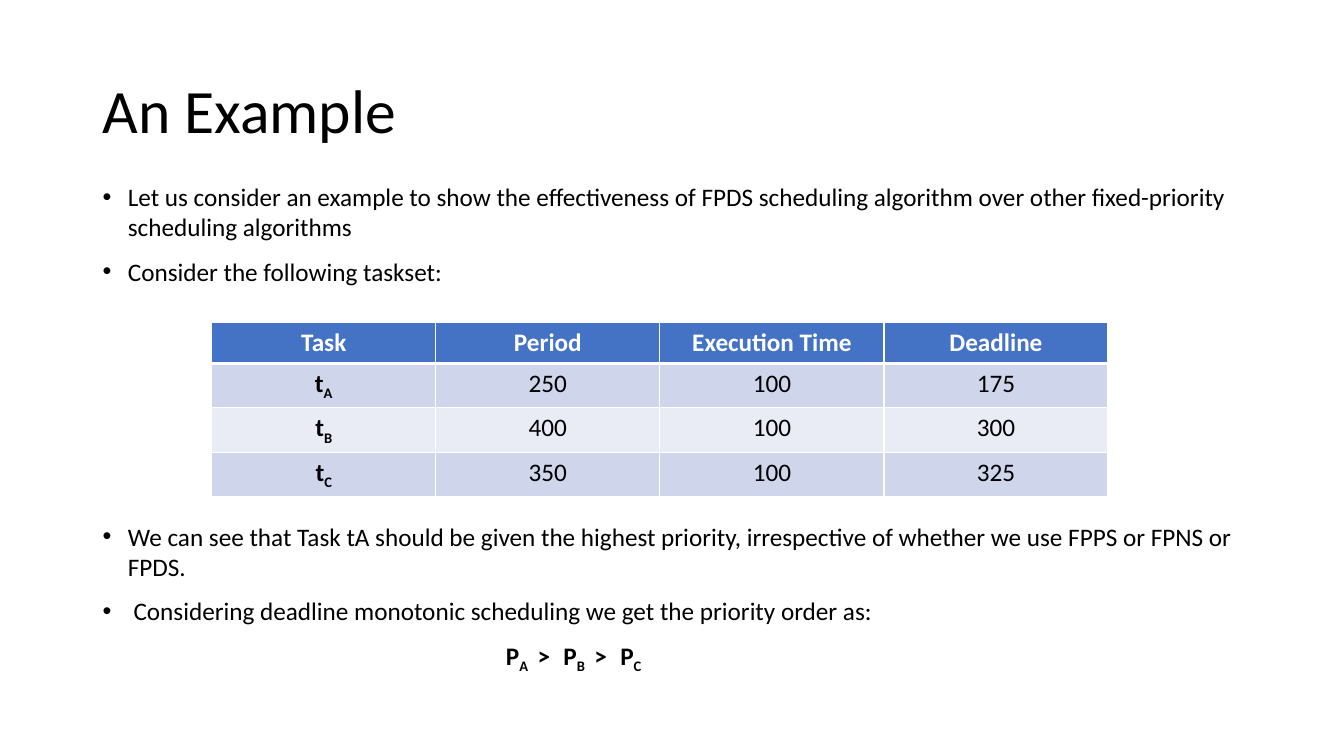
from dataclasses import dataclass

from lxml import etree
from pptx import Presentation
from pptx.dml.color import RGBColor
from pptx.enum import text
from pptx.oxml import ns
from pptx.util import Inches, Pt


@dataclass(frozen=True)
class Theme:
    font: str = "Calibri"
    title_size: int = 44
    body_size: int = 18
    ink: str = "000000"
    white: str = "FFFFFF"
    header: str = "4472C4"
    bands: tuple = ("CFD5EA", "E9EBF5")


THEME = Theme()

HEADINGS = ["Task", "Period", "Execution Time", "Deadline"]
TASKS = [("A", 250, 100, 175), ("B", 400, 100, 300), ("C", 350, 100, 325)]
SETUP = [
    "Let us consider an example to show the effectiveness of FPDS scheduling "
    "algorithm over other fixed-priority scheduling algorithms",
    "Consider the following taskset:",
]
FINDINGS = [
    "We can see that Task tA should be given the highest priority, "
    "irrespective of whether we use FPPS or FPNS or FPDS.",
    " Considering deadline monotonic scheduling we get the priority order as:",
]


def add_run(paragraph, words, size=THEME.body_size, color=THEME.ink, bold=False):
    run = paragraph.add_run()
    run.text = words
    run.font.name = THEME.font
    run.font.size = Pt(size)
    run.font.bold = bold
    run.font.color.rgb = RGBColor.from_string(color)
    return run


def add_subscripted(paragraph, letter, index):
    add_run(paragraph, letter, bold=True)
    subscript = add_run(paragraph, index, bold=True)
    subscript.font._element.set("baseline", "-25000")


def add_text_box(slide, left, top, width, height):
    frame = slide.shapes.add_textbox(
        Inches(left), Inches(top), Inches(width), Inches(height)
    ).text_frame
    frame.word_wrap = True
    return frame


def add_title(slide, words):
    frame = add_text_box(slide, 0.92, 0.4, 11.5, 1.45)
    frame.vertical_anchor = text.MSO_ANCHOR.MIDDLE
    paragraph = frame.paragraphs[0]
    paragraph.line_spacing = 0.9
    add_run(paragraph, words, THEME.title_size)


def add_bullets(slide, top, height, items):
    frame = add_text_box(slide, 0.92, top, 11.5, height)
    for number, item in enumerate(items):
        paragraph = frame.add_paragraph() if number else frame.paragraphs[0]
        if number:
            paragraph.space_before = Pt(10)
        properties = paragraph._p.get_or_add_pPr()
        properties.set("marL", str(Inches(0.25)))
        properties.set("indent", str(-Inches(0.25)))
        etree.SubElement(properties, ns.qn("a:buFont"), typeface="Arial")
        etree.SubElement(properties, ns.qn("a:buChar"), char="•")
        add_run(paragraph, item)
    return frame


def add_priority_order(frame, indices):
    paragraph = frame.add_paragraph()
    paragraph.space_before = Pt(10)
    paragraph._p.get_or_add_pPr().set("marL", str(Inches(4)))
    for number, index in enumerate(indices):
        if number:
            separator = add_run(paragraph, " > ", bold=True)
            separator.font._element.set("spc", "270")
        add_subscripted(paragraph, "P", index)


def set_border(cell, side, points):
    line = etree.SubElement(
        cell._tc.get_or_add_tcPr(), ns.qn(f"a:ln{side}"), w=str(Pt(points))
    )
    fill = etree.SubElement(line, ns.qn("a:solidFill"))
    etree.SubElement(fill, ns.qn("a:srgbClr"), val=THEME.white)


def style_cell(cell, row, color):
    widths = {"L": 1, "R": 1, "T": 3 if row == 1 else 1, "B": 3 if row == 0 else 1}
    for side, points in widths.items():
        set_border(cell, side, points)
    cell.fill.solid()
    cell.fill.fore_color.rgb = RGBColor.from_string(color)
    paragraph = cell.text_frame.paragraphs[0]
    paragraph.alignment = text.PP_ALIGN.CENTER
    return paragraph


def add_task_table(slide):
    table = slide.shapes.add_table(
        len(TASKS) + 1, len(HEADINGS),
        Inches(2.1), Inches(3.2), Inches(8.89), Inches(1.62),
    ).table
    for column, heading in enumerate(HEADINGS):
        paragraph = style_cell(table.cell(0, column), 0, THEME.header)
        add_run(paragraph, heading, color=THEME.white, bold=True)
    for row, task in enumerate(TASKS, 1):
        band = THEME.bands[(row - 1) % 2]
        for column, value in enumerate(task):
            paragraph = style_cell(table.cell(row, column), row, band)
            if column == 0:
                add_subscripted(paragraph, "t", value)
            else:
                add_run(paragraph, str(value))


def main():
    presentation = Presentation()
    presentation.slide_width = Inches(13.33)
    presentation.slide_height = Inches(7.5)
    slide = presentation.slides.add_slide(presentation.slide_layouts[6])
    add_title(slide, "An Example")
    add_bullets(slide, 1.75, 1.3, SETUP)
    add_task_table(slide)
    findings = add_bullets(slide, 5.12, 1.98, FINDINGS)
    add_priority_order(findings, [task[0] for task in TASKS])
    presentation.save("out.pptx")


if __name__ == "__main__":
    main()
